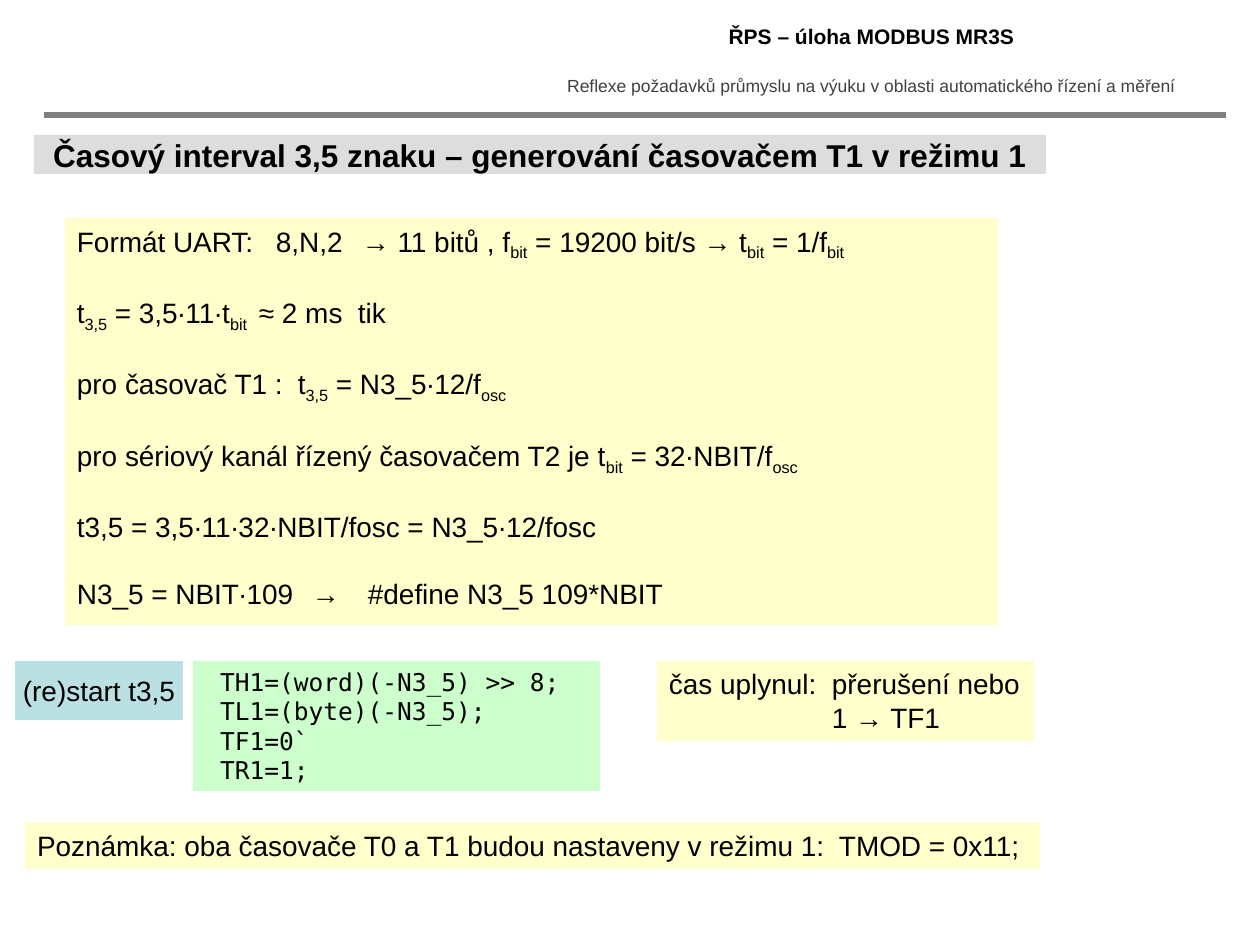
from lxml import etree
from pptx import Presentation
from pptx.dml.color import RGBColor
from pptx.enum.shapes import MSO_CONNECTOR, MSO_SHAPE
from pptx.enum.text import MSO_ANCHOR, MSO_AUTO_SIZE, PP_ALIGN
from pptx.oxml.ns import qn
from pptx.util import Inches, Pt

LEFT, CENTER = PP_ALIGN.LEFT, PP_ALIGN.CENTER
TOP, MIDDLE = MSO_ANCHOR.TOP, MSO_ANCHOR.MIDDLE
FIXED = MSO_AUTO_SIZE.NONE
RECT, STRAIGHT = MSO_SHAPE.RECTANGLE, MSO_CONNECTOR.STRAIGHT
COLORS = {"ink": "000000", "dim": "404040", "rule": "808080", "head": "DDDDDD",
          "note": "FFFFCC", "code": "CCFFCC", "start": "BBE0E3"}


def px(n):
    return round(n * 914400 / 126)


def color(name):
    return RGBColor.from_string(COLORS[name])


class Page:
    font = "Arial"
    mono = "DejaVu Sans Mono"
    pad = 12

    def __init__(self, slide):
        self.slide = slide

    def place(self, shape, box):
        shape.left, shape.top, shape.width, shape.height = map(px, box)

    def paint(self, shape, fill):
        shape.fill.solid()
        shape.fill.fore_color.rgb = color(fill)

    def letter(self, shape, lines, size=16, bold=False, ink="ink", font=None,
               align=LEFT, anchor=TOP, pad=None, gap=0):
        frame = shape.text_frame
        frame.word_wrap = align == LEFT
        frame.auto_size = FIXED
        frame.vertical_anchor = anchor
        inset = self.pad if pad is None else pad
        frame.margin_left = px(inset if align == LEFT else 0)
        frame.margin_right = 0
        frame.margin_top = frame.margin_bottom = px(6)
        for i, line in enumerate(lines):
            para = frame.paragraphs[0] if i == 0 else frame.add_paragraph()
            para.alignment = align
            para.space_before = Pt(gap if i else 0)
            for j, part in enumerate(line.split("|")):
                if not part:
                    continue
                run = para.add_run()
                run.text = part
                run.font.name = font or self.font
                run.font.size = Pt(size)
                run.font.bold = bold
                run.font.color.rgb = color(ink)
                if j % 2:
                    run.font._element.set("baseline", "-25000")
        return shape

    def tabs(self, shape, row, stops):
        props = shape.text_frame.paragraphs[row]._p.get_or_add_pPr()
        tabs = etree.SubElement(props, qn("a:tabLst"))
        for stop in stops:
            etree.SubElement(tabs, qn("a:tab"), pos=str(px(stop)), algn="l")

    def title(self, box, text, fill, **style):
        shape = self.slide.shapes.title
        self.place(shape, box)
        self.paint(shape, fill)
        return self.letter(shape, [text], **style)

    def label(self, box, text, **style):
        shape = self.slide.shapes.add_textbox(*map(px, box))
        return self.letter(shape, [text], **style)

    def panel(self, box, lines, fill, **style):
        shape = self.slide.shapes.add_shape(RECT, *map(px, box))
        shape.shadow.inherit = False
        shape.line.fill.background()
        self.paint(shape, fill)
        return self.letter(shape, lines, **style)

    def rule(self, x1, x2, y, width):
        line = self.slide.shapes.add_connector(STRAIGHT, px(x1), px(y), px(x2), px(y))
        line.line.color.rgb = color("rule")
        line.line.width = Pt(width)
        etree.SubElement(line._element.spPr, qn("a:effectLst"))


deck = Presentation()
deck.slide_width, deck.slide_height = Inches(10), Inches(7.5)
page = Page(deck.slides.add_slide(deck.slide_layouts[5]))

page.label((542, 69, 658, 34),
           "Reflexe požadavků průmyslu na výuku v oblasti automatického řízení a měření",
           size=10, ink="dim", align=CENTER)
page.label((542, 18, 659, 39), "ŘPS – úloha MODBUS MR3S", size=12, bold=True, align=CENTER)
page.rule(44, 1226, 115, 3)
page.title((34, 135, 1012, 39),
           "Časový interval 3,5 znaku – generování časovačem T1 v režimu 1",
           "head", size=18, bold=True, align=CENTER, anchor=MIDDLE)

steps = [
    ("Formát UART:\t8,N,2\t→ 11 bitů , f|bit| = 19200 bit/s → t|bit| = 1/f|bit|", (199, 285)),
    ("t|3,5| = 3,5∙11∙t|bit|\t≈ 2 ms\ttik", (182, 281)),
    ("pro časovač T1 :\tt|3,5| = N3_5∙12/f|osc|", (221,)),
    ("pro sériový kanál řízený časovačem T2 je t|bit| = 32∙NBIT/f|osc|", ()),
    ("t3,5 = 3,5∙11∙32∙NBIT/fosc = N3_5∙12/fosc", ()),
    ("N3_5 = NBIT∙109\t→\t#define N3_5 109*NBIT", (235, 291)),
]
sums = page.panel((65, 218, 933, 407), [text for text, _ in steps], "note", gap=19)
for row, (_, stops) in enumerate(steps):
    if stops:
        page.tabs(sums, row, stops)

page.panel((193, 661, 407, 130),
           ["TH1=(word)(-N3_5) >> 8;", "TL1=(byte)(-N3_5);", "TF1=0`", "TR1=1;"],
           "code", size=14, font=page.mono, pad=27)
page.panel((15, 661, 168, 59), ["(re)start t3,5"], "start", align=CENTER, anchor=MIDDLE)
done = page.panel((657, 661, 377, 80), ["čas uplynul:\tpřerušení nebo", "\t1 → TF1"], "note")
for row in range(2):
    page.tabs(done, row, (163,))
note = page.panel((25, 823, 1015, 46),
                  ["Poznámka: oba časovače T0 a T1 budou nastaveny v režimu 1:\tTMOD = 0x11;"],
                  "note")
page.tabs(note, 0, (802,))

deck.save("out.pptx")
